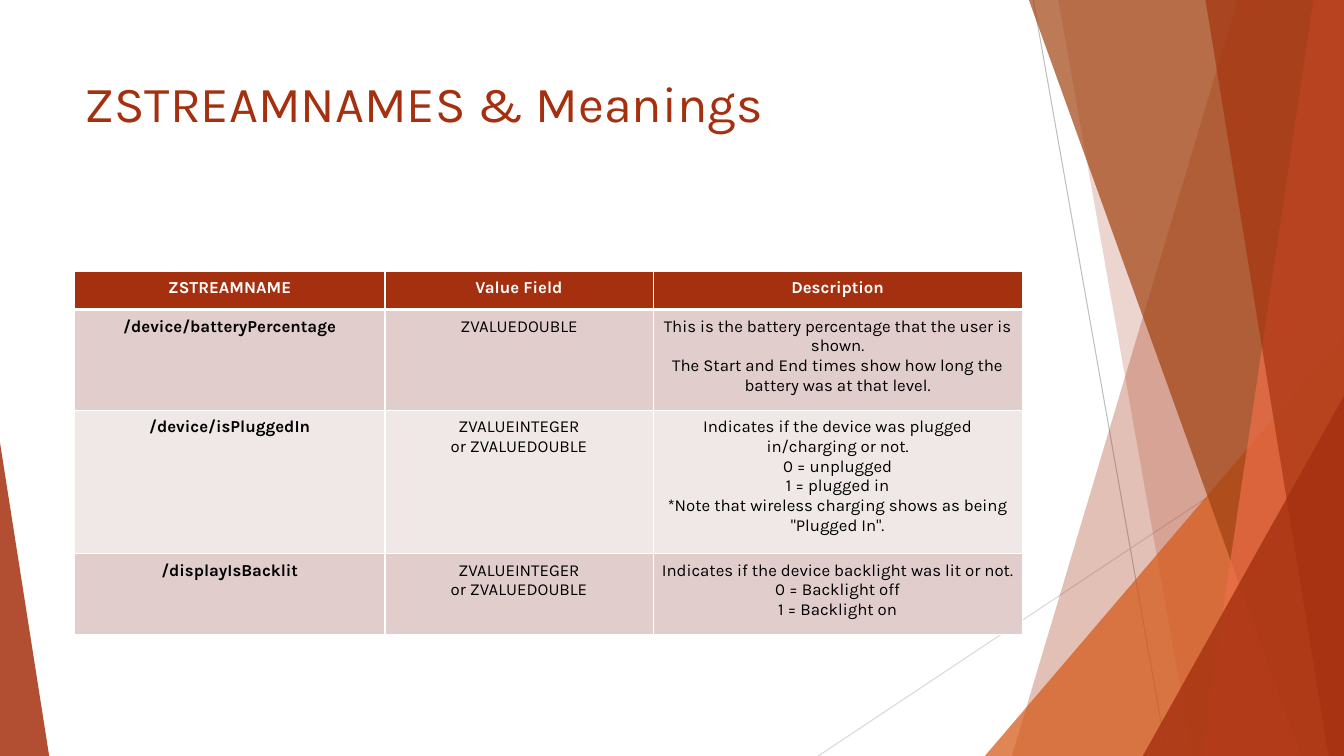
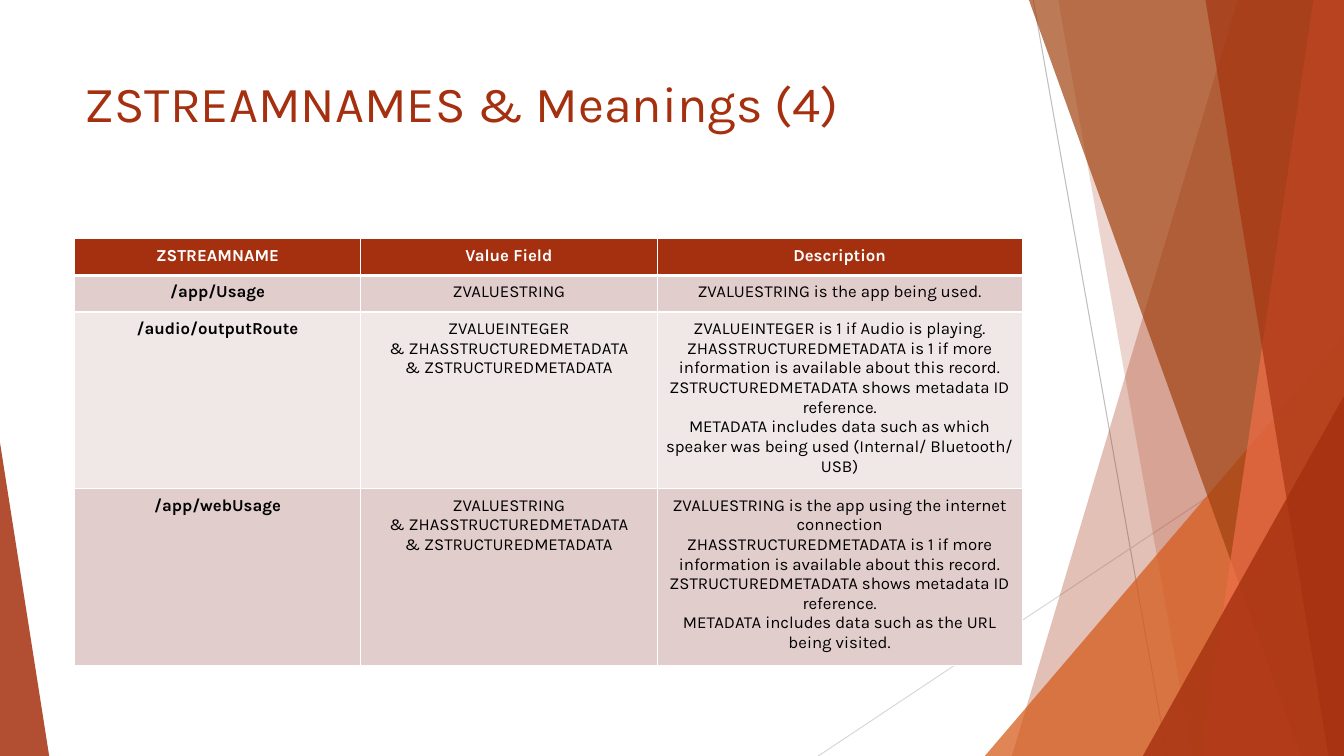
from lxml import etree
from pptx import Presentation
from pptx.dml.color import RGBColor
from pptx.enum.shapes import MSO_CONNECTOR, MSO_SHAPE
from pptx.enum.text import MSO_ANCHOR, PP_ALIGN
from pptx.oxml.ns import qn
from pptx.util import Cm, Pt

LINE = MSO_CONNECTOR.STRAIGHT
WEDGE = MSO_SHAPE.ISOSCELES_TRIANGLE
TOP = MSO_ANCHOR.TOP
LEFT, CENTER = PP_ALIGN.LEFT, PP_ALIGN.CENTER

FONT = "Karla"
WIDTH, HEIGHT = 33.87, 19.05
MARGIN, SPAN = 1.88, 23.88
PAD = 0.18
COLORS = {
    "rust": "A5300F", "orange": "D55816", "brown": "A04210",
    "coral": "EE6E4A", "gray": "BFBFBF", "silver": "D9D9D9",
    "white": "FFFFFF", "black": "000000",
    "dark": "E1CDCC", "light": "F0E8E7",
}

HEADER = ("ZSTREAMNAME", "Value Field", "Description")
NUMBER = "ZVALUEINTEGER\nor ZVALUEDOUBLE"
EXTRA = "\n& ZHASSTRUCTUREDMETADATA\n& ZSTRUCTUREDMETADATA"
DETAIL = (
    "\nZHASSTRUCTUREDMETADATA is 1 if more information is available "
    "about this record."
    "\nZSTRUCTUREDMETADATA shows metadata ID reference."
    "\nMETADATA includes data such as "
)
DEVICE = [
    HEADER,
    ("/device/batteryPercentage", "ZVALUEDOUBLE",
     "This is the battery percentage that the user is shown.\n"
     "The Start and End times show how long the battery was at that level."),
    ("/device/isPluggedIn", NUMBER,
     "Indicates if the device was plugged in/charging or not.\n"
     "0 = unplugged\n1 = plugged in\n"
     "*Note that wireless charging shows as being \"Plugged In\"."),
    ("/displayIsBacklit", NUMBER,
     "Indicates if the device backlight was lit or not.\n"
     "0 = Backlight off\n1 = Backlight on"),
]
USAGE = [
    HEADER,
    ("/app/Usage", "ZVALUESTRING", "ZVALUESTRING is the app being used."),
    ("/audio/outputRoute", "ZVALUEINTEGER" + EXTRA,
     "ZVALUEINTEGER is 1 if Audio is playing." + DETAIL
     + "which speaker was being used (Internal/ Bluetooth/ USB)"),
    ("/app/webUsage", "ZVALUESTRING" + EXTRA,
     "ZVALUESTRING is the app using the internet connection" + DETAIL
     + "the URL being visited."),
]


def color(name):
    return RGBColor.from_string(COLORS[name])


def style(para, size, tint, align, bold=False):
    para.alignment = align
    font = para.font
    font.name, font.size, font.bold = FONT, Pt(size), bold
    font.color.rgb = color(tint)


def paint(shape, tint, alpha):
    """Fill with a colour at alpha percent, with no outline or shadow."""
    shape.shadow.inherit = False
    shape.line.fill.background()
    shape.fill.solid()
    shape.fill.fore_color.rgb = color(tint)
    node = shape.element.spPr.find(qn("a:solidFill"))[0]
    etree.SubElement(node, qn("a:alpha"), val=str(alpha * 1000))


def add_line(slide, x1, y1, x2, y2, tint):
    line = slide.shapes.add_connector(LINE, Cm(x1), Cm(y1), Cm(x2), Cm(y2))
    line.line.color.rgb = color(tint)
    line.line.width = Pt(0.75)
    etree.SubElement(line.element.spPr, qn("a:effectLst"))


def add_band(slide, top, base, tint, alpha):
    """Fill from a slanted edge (top x to base x) to the right side."""
    path = slide.shapes.build_freeform(Cm(top), 0)
    path.add_line_segments([
        (Cm(WIDTH), 0), (Cm(WIDTH), Cm(HEIGHT)), (Cm(base), Cm(HEIGHT)),
    ])
    paint(path.convert_to_shape(), tint, alpha)


def add_wedge(slide, left, top, right, peak, tint, alpha):
    """Stand a triangle on the bottom edge; peak 0 is left, 1 is right."""
    wedge = slide.shapes.add_shape(
        WEDGE, Cm(left), Cm(top), Cm(right - left), Cm(HEIGHT - top))
    wedge.adjustments[0] = peak
    paint(wedge, tint, alpha)


def add_decor(slide):
    add_line(slide, 26.04, 0, 29.41, HEIGHT, "gray")
    add_line(slide, WIDTH, 10.24, 20.62, HEIGHT, "silver")
    add_band(slide, 31.19, 25.5, "rust", 30)
    add_band(slide, 26.67, 30.05, "rust", 20)
    add_wedge(slide, 24.82, 8.46, WIDTH, 1, "orange", 72)
    add_band(slide, 25.93, 32.79, "brown", 70)
    add_band(slide, 33.1, 30.28, "coral", 70)
    add_band(slide, 30.38, 33.48, "rust", 65)
    add_wedge(slide, 28.8, 9.98, WIDTH, 1, "rust", 80)
    add_wedge(slide, 0, 11.15, 1.24, 0, "rust", 85)


def set_title(slide, text):
    title = slide.shapes.title
    title.left, title.top = Cm(MARGIN), Cm(1.7)
    title.width, title.height = Cm(SPAN), Cm(3.66)
    frame = title.text_frame
    frame.text = text
    frame.vertical_anchor = TOP
    style(frame.paragraphs[0], 36, "rust", LEFT)


def add_rules(cell, row):
    """Draw white borders, thick between the header and the body."""
    thick = {(0, "lnB"), (1, "lnT")}
    props = cell._tc.get_or_add_tcPr()
    for side in ("lnL", "lnR", "lnT", "lnB"):
        width = Pt(3 if (row, side) in thick else 1)
        rule = etree.SubElement(props, qn("a:" + side), w=str(width))
        fill = etree.SubElement(rule, qn("a:solidFill"))
        etree.SubElement(fill, qn("a:srgbClr"), val=COLORS["white"])


def fill_cell(cell, row, col, text):
    head = row == 0
    cell.margin_left = cell.margin_right = Cm(PAD)
    cell.margin_top = cell.margin_bottom = Cm(PAD)
    add_rules(cell, row)
    cell.fill.solid()
    back = "rust" if head else "dark" if row % 2 else "light"
    cell.fill.fore_color.rgb = color(back)
    para = cell.text_frame.paragraphs[0]
    para.text = text
    style(para, 12, "white" if head else "black", CENTER, head or col == 0)


def add_grid(slide, top, widths, heights, rows):
    table = slide.shapes.add_table(
        len(heights), len(widths), Cm(MARGIN), Cm(top),
        Cm(sum(widths)), Cm(sum(heights))).table
    table.horz_banding = False
    for col, width in zip(table.columns, widths):
        col.width = Cm(width)
    for row, height in zip(table.rows, heights):
        row.height = Cm(height)
    for r, texts in enumerate(rows):
        for c, text in enumerate(texts):
            fill_cell(table.cell(r, c), r, c, text)


def add_page(deck, title, top, widths, heights, rows):
    slide = deck.slides.add_slide(deck.slide_layouts[5])
    add_decor(slide)
    set_title(slide, title)
    add_grid(slide, top, widths, heights, rows)


def main():
    deck = Presentation()
    deck.slide_width, deck.slide_height = Cm(WIDTH), Cm(HEIGHT)
    add_page(deck, "ZSTREAMNAMES & Meanings", 6.83,
             (7.82, 6.76, 9.3), (0.97, 2.54, 3.61, 2.03), DEVICE)
    add_page(deck, "ZSTREAMNAMES & Meanings (4)", 6.02,
             (7.21, 7.47, 9.2), (0.92, 0.92, 4.45, 4.45), USAGE)
    deck.save("out.pptx")


if __name__ == "__main__":
    main()
